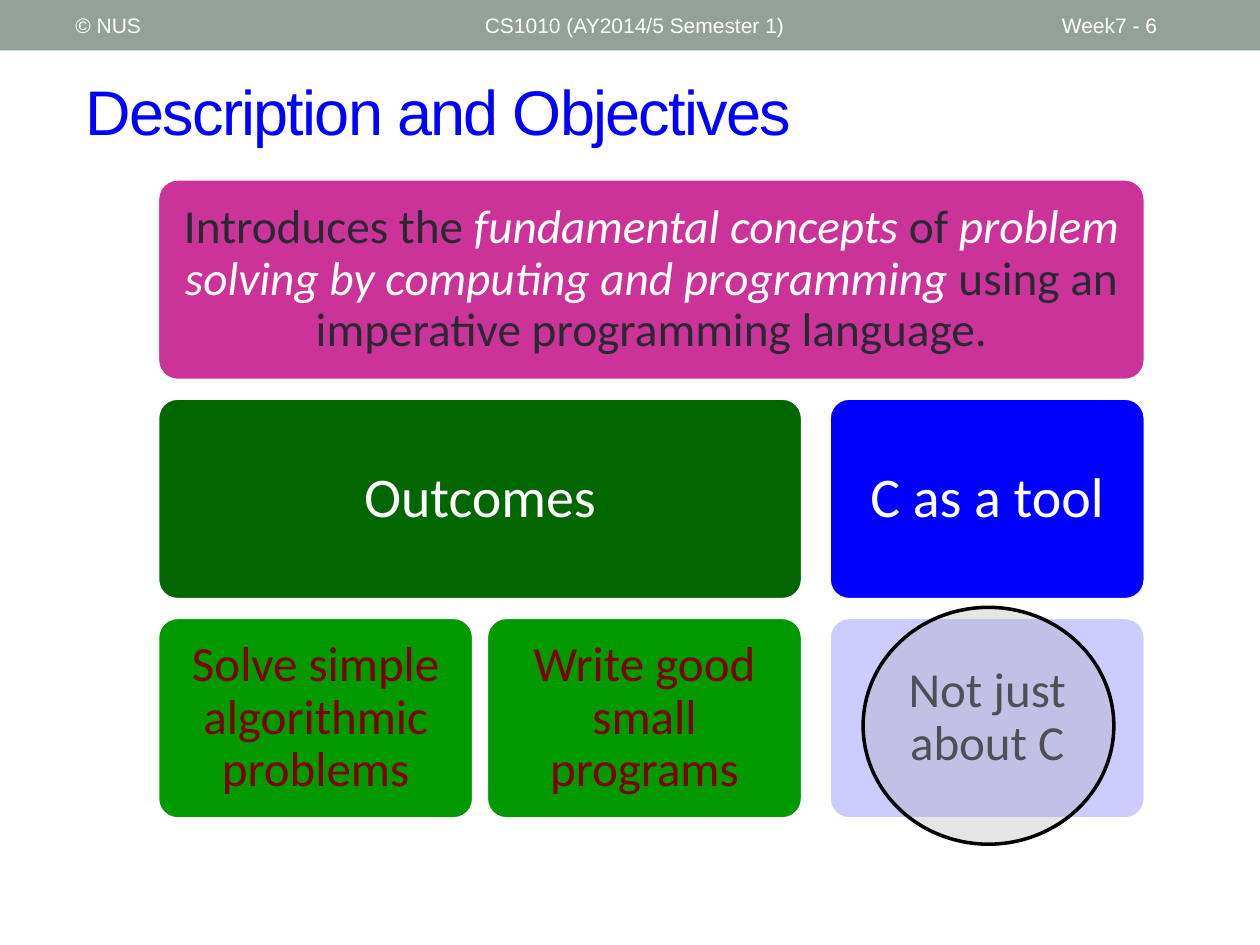
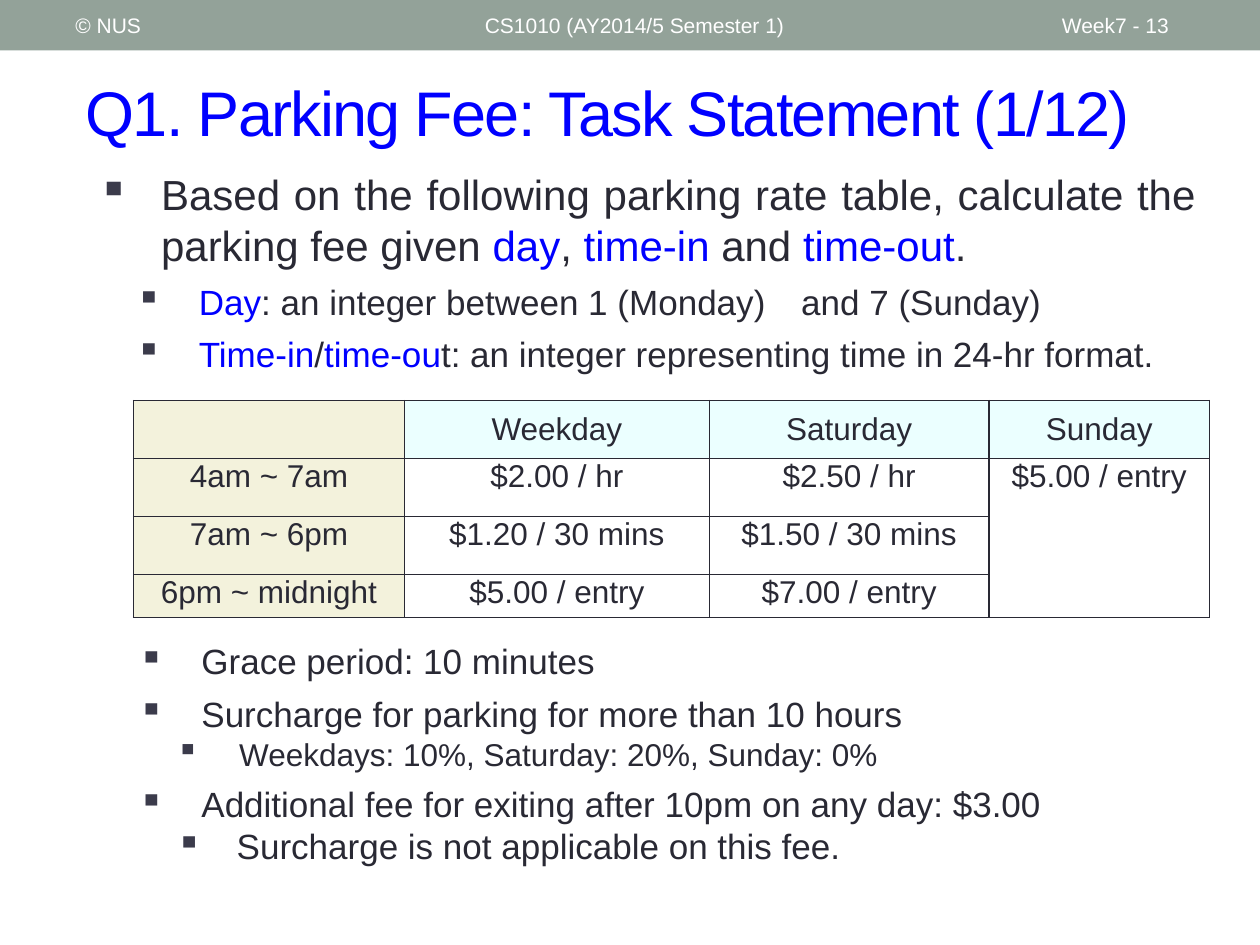
from dataclasses import dataclass

from lxml import etree
from pptx import Presentation
from pptx.dml.color import RGBColor
from pptx.enum import shapes, text
from pptx.oxml import ns
from pptx.util import Inches, Pt

SHAPE = shapes.MSO_SHAPE
ALIGN = text.PP_ALIGN
ANCHOR = text.MSO_ANCHOR


@dataclass(frozen=True)
class Theme:
    ink: str = "292934"
    white: str = "FFFFFF"
    black: str = "000000"
    blue: str = "0000FF"
    band: str = "93A299"
    mark: str = "3B3B4B"
    pink: str = "CC3399"
    forest: str = "006600"
    green: str = "009900"
    maroon: str = "800000"
    lilac: str = "CCCCFF"
    grey: str = "AAAAAA"
    cream: str = "F3F2DC"
    ice: str = "EBFFFF"
    body: str = "Arial"
    art: str = "Calibri"
    title: int = 36
    lead: int = 24
    point: int = 20
    small: int = 18
    foot: int = 12
    large: int = 32
    medium: int = 28
    intro: int = 27


@dataclass
class Point:
    """One bullet: its runs, size, level, text indent and space before."""
    runs: list
    size: int
    level: int = 1
    left: float = 0.8
    before: int = 6
    hang: float = 0.5
    align: ALIGN = ALIGN.JUSTIFY


def color(code):
    return RGBColor.from_string(code)


def child(parent, tag, **attrs):
    return etree.SubElement(parent, ns.qn(tag), attrs)


class Deck:
    def __init__(self, theme):
        self.theme = theme
        self.prs = Presentation()
        self.prs.slide_width, self.prs.slide_height = Inches(10), Inches(7.5)
        self.slide = None

    def page(self, title, number, top, width, height):
        """Start a slide with its band, footers and title."""
        t = self.theme
        self.slide = self.prs.slides.add_slide(self.prs.slide_layouts[5])
        self.shape(SHAPE.RECTANGLE, (0, 0, 10, 0.4), t.band)
        feet = (("© NUS", 0.5, 3.17),
                ("CS1010 (AY2014/5 Semester 1)", 3.75, 4.5),
                (f"Week7 - {number}", 8.33, 1.17))
        for words, left, wide in feet:
            frame = self.frame((left, 0.02, wide, 0.36), ANCHOR.MIDDLE)
            self.runs(frame.paragraphs[0], [(words, t.white)], t.foot)

        head = self.slide.shapes.title
        head.left, head.top = Inches(0.58), Inches(top)
        head.width, head.height = Inches(width), Inches(height)
        frame = head.text_frame
        frame.auto_size = text.MSO_AUTO_SIZE.NONE
        frame.vertical_anchor = ANCHOR.MIDDLE
        para = frame.paragraphs[0]
        para.alignment = ALIGN.LEFT
        self.runs(para, [(title, t.blue)], t.title)
        para.runs[0].font._element.set("spc", "-100")

    def runs(self, para, parts, size, face=None):
        """Add (words, colour[, italic]) parts to a paragraph."""
        for words, code, *slant in parts:
            run = para.add_run()
            run.text = words
            font = run.font
            font.name = face or self.theme.body
            font.size = Pt(size)
            font.color.rgb = color(code)
            if slant:
                font.italic = slant[0]

    def frame(self, at, anchor=ANCHOR.TOP):
        box = self.slide.shapes.add_textbox(*map(Inches, at))
        box.text_frame.word_wrap = True
        box.text_frame.vertical_anchor = anchor
        return box.text_frame

    def shape(self, kind, at, fill, line=None, alpha=None):
        item = self.slide.shapes.add_shape(kind, *map(Inches, at))
        item.shadow.inherit = False
        item.fill.solid()
        item.fill.fore_color.rgb = color(fill)
        if alpha:
            tint = item.fill._xPr.find(".//" + ns.qn("a:srgbClr"))
            child(tint, "a:alpha", val=str(alpha * 1000))
        if line:
            item.line.color.rgb = color(line)
            item.line.width = Pt(2)
        else:
            item.line.fill.background()
        return item

    def card(self, at, fill, parts, size, inset):
        """Draw a rounded box with centred text inside it."""
        item = self.shape(SHAPE.ROUNDED_RECTANGLE, at, fill, self.theme.white)
        item.adjustments[0] = 0.1
        frame = item.text_frame
        frame.word_wrap = True
        frame.vertical_anchor = ANCHOR.MIDDLE
        frame.margin_left = frame.margin_right = Inches(inset)
        frame.margin_top = frame.margin_bottom = Inches(inset)
        para = frame.paragraphs[0]
        para.alignment = ALIGN.CENTER
        para.line_spacing = 0.9
        self.runs(para, parts, size, self.theme.art)

    def points(self, at, items):
        frame = self.frame(at)
        for i, item in enumerate(items):
            para = frame.add_paragraph() if i else frame.paragraphs[0]
            props = para._p.get_or_add_pPr()
            props.set("marL", str(Inches(item.left)))
            props.set("indent", str(-Inches(item.hang)))
            child(child(props, "a:buClr"), "a:srgbClr", val=self.theme.mark)
            child(props, "a:buChar", char="▪")
            para.level = item.level
            para.alignment = item.align
            para.space_before = Pt(item.before if i else 0)
            self.runs(para, item.runs, item.size)

    def edge(self, cell):
        props = cell._tc.get_or_add_tcPr()
        for i, side in enumerate(("a:lnL", "a:lnR", "a:lnT", "a:lnB")):
            line = etree.Element(ns.qn(side), w=str(Pt(1)))
            child(child(line, "a:solidFill"), "a:srgbClr", val=self.theme.ink)
            props.insert(i, line)

    def table(self, at, cols, heights, rows):
        t = self.theme
        grid = self.slide.shapes.add_table(
            len(rows), len(cols), *map(Inches, at)).table
        grid.first_row = grid.horz_banding = False
        for col, wide in zip(grid.columns, cols):
            col.width = Inches(wide)
        for row, high in zip(grid.rows, heights):
            row.height = Inches(high)
        for r, row in enumerate(rows):
            for c, words in enumerate(row):
                cell = grid.cell(r, c)
                cell.margin_left = cell.margin_right = Inches(0.07)
                cell.margin_top = cell.margin_bottom = 0
                cell.vertical_anchor = ANCHOR.TOP if r else ANCHOR.MIDDLE
                if c == 0 or r == 0:
                    cell.fill.solid()
                    cell.fill.fore_color.rgb = color(t.ice if c else t.cream)
                else:
                    cell.fill.background()
                self.edge(cell)
                if words:
                    para = cell.text_frame.paragraphs[0]
                    para.alignment = ALIGN.CENTER
                    self.runs(para, [(words, t.ink)], t.small)
        return grid


def goals(deck):
    t = deck.theme
    deck.page("Description and Objectives", 6, 0.5, 8.92, 0.75)
    lefts, wide, high = (1.25, 3.86, 6.58), 2.51, 1.6

    def place(row, first, last):
        """Give the box that spans columns first to last of a row."""
        return (lefts[first], 1.42 + row * 1.74,
                lefts[last] + wide - lefts[first], high)

    intro = [("Introduces the ", t.ink),
             ("fundamental concepts ", t.white, True),
             ("of ", t.ink),
             ("problem solving by computing and programming ", t.white, True),
             ("using an imperative programming language.", t.ink)]
    deck.card(place(0, 0, 2), t.pink, intro, t.intro, 0.16)
    for first, last, fill, words in ((0, 1, t.forest, "Outcomes"),
                                     (2, 2, t.blue, "C as a tool")):
        deck.card(place(1, first, last), fill, [(words, t.white)],
                  t.large, 0.18)
    tasks = ((t.green, t.maroon, "Solve simple algorithmic problems"),
             (t.green, t.maroon, "Write good small programs"),
             (t.lilac, t.ink, "Not just about C"))
    for c, (fill, ink, words) in enumerate(tasks):
        deck.card(place(2, c, c), fill, [(words, ink)], t.medium, 0.17)
    deck.shape(SHAPE.OVAL, (6.85, 4.82, 1.99, 1.88), t.grey, t.black, 30)


def parking(deck):
    t = deck.theme
    deck.page("Q1. Parking Fee: Task Statement (1/12)", 13, 0.42, 9.17, 0.92)
    deck.points((0.68, 1.29, 8.91, 1.8), [
        Point([("Based on the following parking rate table, calculate the "
                "parking fee given ", t.ink),
               ("day", t.blue), (", ", t.ink), ("time-in", t.blue),
               (" and ", t.ink), ("time-out", t.blue), (".", t.ink)],
              t.lead, level=0, left=0.5),
        Point([("Day", t.blue),
               (": an integer between 1 (Monday)　and 7 (Sunday)", t.ink)],
              t.point),
        Point([("Time-in", t.blue), ("/", t.ink), ("time-ou", t.blue),
               ("t: an integer representing time in 24-hr format.", t.ink)],
              t.point)])

    rates = deck.table(
        (1.06, 3.18, 8.54, 1.72), (2.15, 2.42, 2.22, 1.75),
        (0.46, 0.46, 0.46, 0.34),
        (("", "Weekday", "Saturday", "Sunday"),
         ("4am ~ 7am", "$2.00 / hr", "$2.50 / hr", "$5.00 / entry"),
         ("7am ~ 6pm", "$1.20 / 30 mins", "$1.50 / 30 mins", ""),
         ("6pm ~ midnight", "$5.00 / entry", "$7.00 / entry", "")))
    rates.cell(1, 3).merge(rates.cell(3, 3))

    deck.points((0.7, 5.03, 8.29, 1.92), [
        Point([("Grace period: 10 minutes", t.ink)], t.point),
        Point([("Surcharge for parking for more than 10 hours", t.ink)],
              t.point, align=ALIGN.LEFT),
        Point([("Weekdays: 10%, Saturday: 20%, Sunday: 0%", t.ink)],
              t.small, level=2, left=1.1, before=0, align=ALIGN.LEFT),
        Point([("Additional fee for exiting after 10pm on any day: $3.00",
                t.ink)], t.point),
        Point([("Surcharge is not applicable on this fee.", t.ink)],
              t.point, left=1.08, before=0, hang=0.48)])


def main():
    deck = Deck(Theme())
    goals(deck)
    parking(deck)
    deck.prs.save("out.pptx")


if __name__ == "__main__":
    main()
